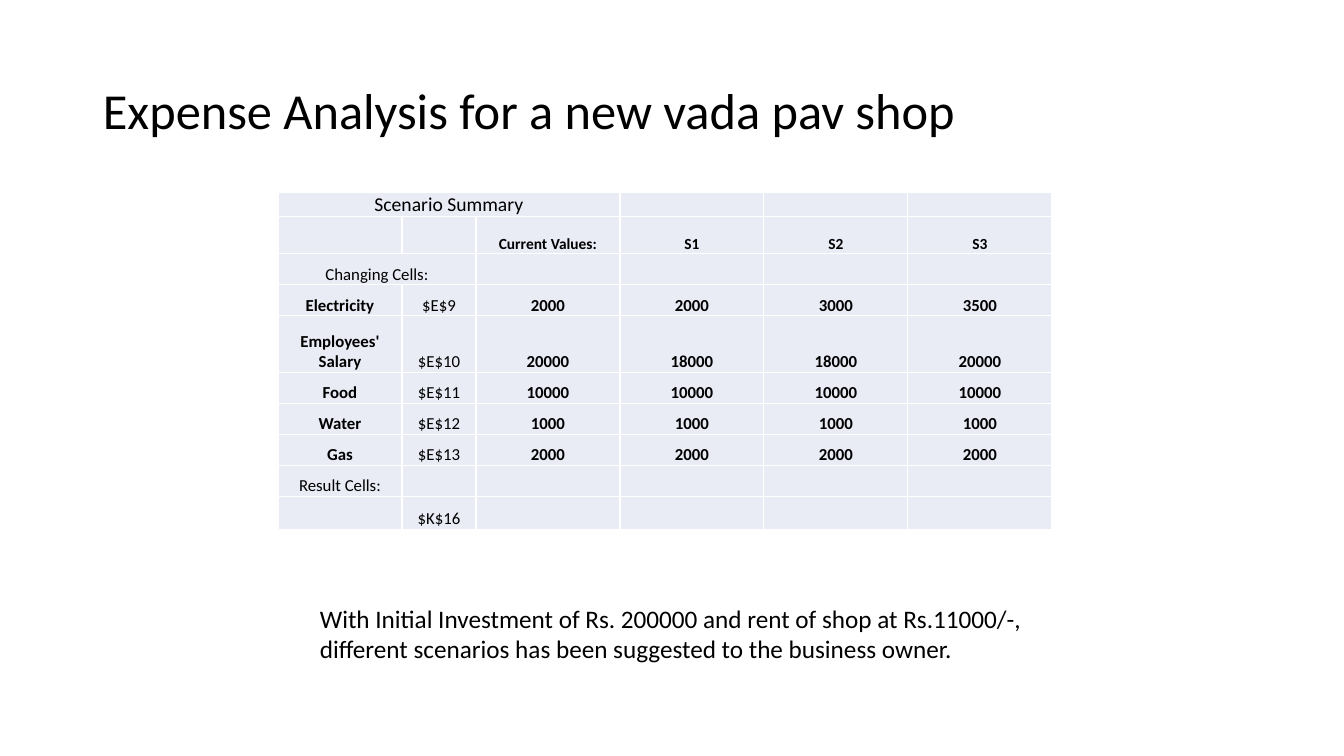
from dataclasses import dataclass

from lxml import etree
from pptx import Presentation
from pptx.dml.color import RGBColor
from pptx.enum.text import MSO_ANCHOR, PP_ALIGN
from pptx.oxml.ns import qn
from pptx.util import Emu, Pt

TOP, MIDDLE, BOTTOM = MSO_ANCHOR.TOP, MSO_ANCHOR.MIDDLE, MSO_ANCHOR.BOTTOM
LEFT, CENTER = PP_ALIGN.LEFT, PP_ALIGN.CENTER
EMU_PER_PIXEL = 914400 / 100.8
BLANK_LAYOUT = 6


@dataclass(frozen=True)
class Theme:
    """Colours, font and type sizes of the deck."""
    font: str = "Calibri"
    ink: str = "000000"
    cell: str = "E9EBF5"
    border: str = "FFFFFF"
    border_width: int = 1
    title: int = 36
    note: int = 18
    table_title: int = 14
    table_body: int = 12
    table_head: int = 11


def px(length):
    """Turn pixels into EMU."""
    return Emu(round(length * EMU_PER_PIXEL))


def assign(target, values):
    """Set attributes of an object from a dict."""
    for name, value in values.items():
        setattr(target, name, value)


class SlideBuilder:
    """Hold the theme and the current slide, and add elements to it."""

    def __init__(self, slide, theme):
        """Keep the slide and the theme."""
        self.slide = slide
        self.theme = theme

    def add_span(self, para, text, size, bold=False, align=LEFT, spacing=1.0):
        """Add one styled span to a paragraph."""
        assign(para, {"alignment": align, "line_spacing": spacing})
        span = para.add_run()
        span.text = text
        assign(span.font, {"name": self.theme.font, "size": Pt(size), "bold": bold})
        span.font.color.rgb = RGBColor.from_string(self.theme.ink)

    def text(self, bounds, lines, size, anchor=TOP, wrap=True, spacing=1.0):
        """Add a text box with one paragraph per line."""
        box = self.slide.shapes.add_textbox(*map(px, bounds))
        frame = box.text_frame
        assign(frame, {"word_wrap": wrap, "vertical_anchor": anchor})
        for index, line in enumerate(lines):
            para = frame.add_paragraph() if index else frame.paragraphs[0]
            self.add_span(para, line, size, spacing=spacing)

    def border(self, cell):
        """Draw the same line on all four sides of a cell."""
        properties = cell._tc.get_or_add_tcPr()
        for index, side in enumerate(("a:lnL", "a:lnR", "a:lnT", "a:lnB")):
            line = etree.Element(qn(side), w=str(Pt(self.theme.border_width)))
            fill = etree.SubElement(line, qn("a:solidFill"))
            etree.SubElement(fill, qn("a:srgbClr"), val=self.theme.border)
            properties.insert(index, line)

    def cell(self, cell, text, size, bold):
        """Style one table cell and set its text."""
        assign(cell, {"margin_left": px(1), "margin_right": px(1), "margin_top": px(1),
                      "margin_bottom": 0, "vertical_anchor": BOTTOM})
        cell.fill.solid()
        cell.fill.fore_color.rgb = RGBColor.from_string(self.theme.cell)
        self.border(cell)
        para = cell.text_frame.paragraphs[0]
        if text:
            self.add_span(para, text, size, bold, CENTER)
        else:
            etree.SubElement(para._p, qn("a:endParaRPr"), sz=str(self.theme.table_head * 100))

    def table(self, left, top, widths, heights, rows, sizes, headings, merges):
        """Add a table whose headings and cell references are not bold."""
        bounds = map(px, (left, top, sum(widths), sum(heights)))
        table = self.slide.shapes.add_table(len(rows), len(widths), *bounds).table
        assign(table, {"first_row": False, "horz_banding": False})
        for column, width in zip(table.columns, widths):
            column.width = px(width)
        for row, height in zip(table.rows, heights):
            row.height = px(height)
        for row_index, (texts, size) in enumerate(zip(rows, sizes)):
            for column_index in range(len(widths)):
                text = texts[column_index] if column_index < len(texts) else ""
                bold = text not in headings and not text.startswith("$")
                self.cell(table.cell(row_index, column_index), text, size, bold)
        for row_index, last_column in merges:
            table.cell(row_index, 0).merge(table.cell(row_index, last_column))


HEADINGS = ("Scenario Summary", "Changing Cells:", "Result Cells:")
EXPENSES = [
    ("Electricity", 9, (2000, 2000, 3000, 3500)),
    ("Employees' Salary", 10, (20000, 18000, 18000, 20000)),
    ("Food", 11, (10000,) * 4),
    ("Water", 12, (1000,) * 4),
    ("Gas", 13, (2000,) * 4),
]
SCENARIO_ROWS = [
    [HEADINGS[0]],
    ["", "", "Current Values:", "S1", "S2", "S3"],
    [HEADINGS[1]],
    *[[name, f"$E${row}", *map(str, values)] for name, row, values in EXPENSES],
    [HEADINGS[2]],
    ["", "$K$16"],
]

theme = Theme()
deck = Presentation()
assign(deck, {"slide_width": px(1344), "slide_height": px(756)})
page = SlideBuilder(deck.slides.add_slide(deck.slide_layouts[BLANK_LAYOUT]), theme)

page.text((93, 40, 1159, 146), ["Expense Analysis for a new vada pav shop"],
          theme.title, MIDDLE, spacing=0.9)
page.table(278, 192, [124, 74] + [144] * 4, [24, 37, 31, 31, 57, 31, 31, 31, 31, 33],
           SCENARIO_ROWS, [theme.table_title, theme.table_head] + [theme.table_body] * 8,
           HEADINGS, [(0, 2), (2, 1)])
page.text((310, 598, 724, 72),
          ["With Initial Investment of Rs. 200000 and rent of shop at Rs.11000/-,",
           "different scenarios has been suggested to the business owner."],
          theme.note, wrap=False)

deck.save("out.pptx")
